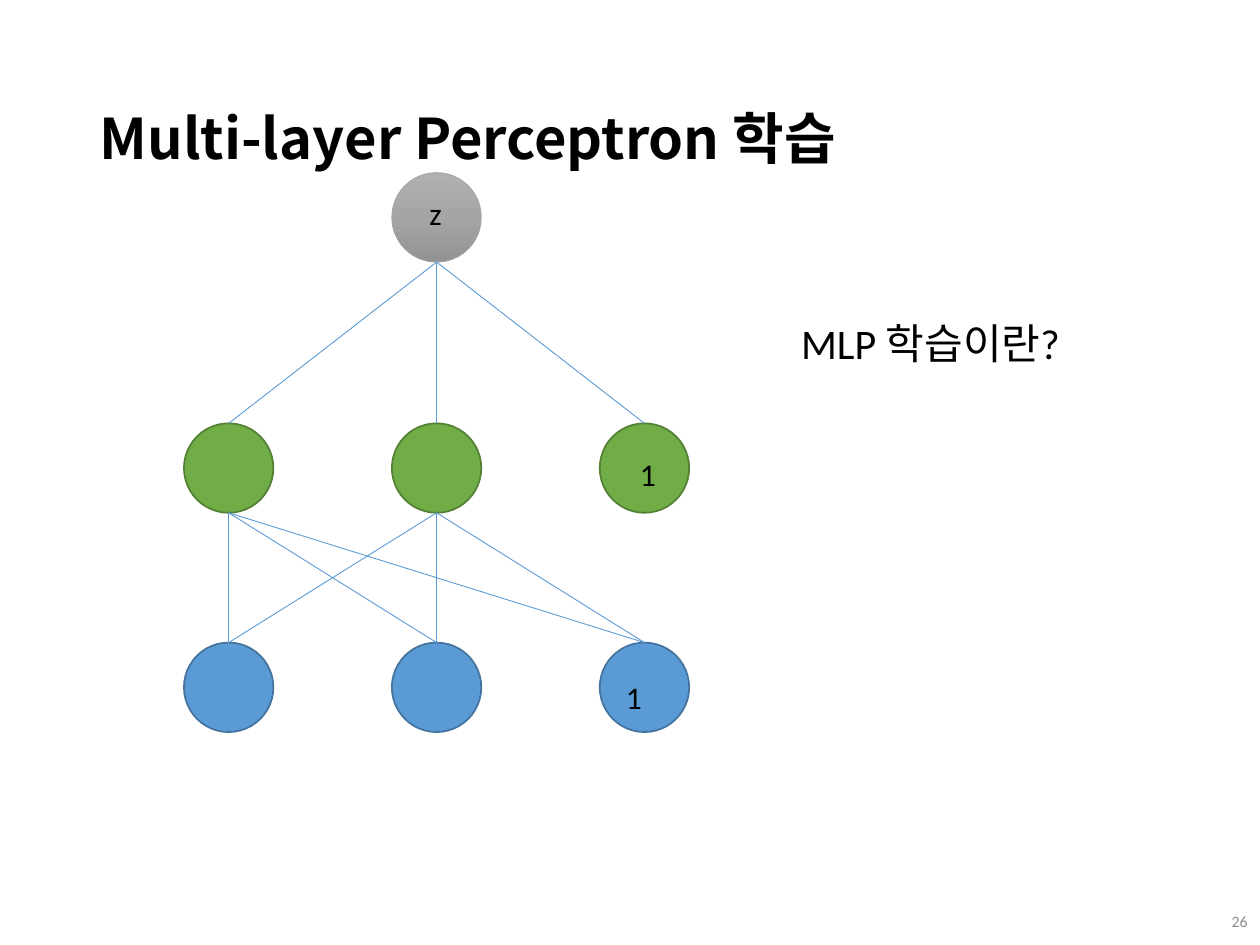
"""Build the slide on training a multi-layer perceptron."""
from copy import deepcopy

from lxml import etree
from pptx import Presentation
from pptx.dml.color import RGBColor
from pptx.enum.shapes import MSO_CONNECTOR, MSO_SHAPE
from pptx.enum.text import MSO_ANCHOR, MSO_AUTO_SIZE, PP_ALIGN
from pptx.oxml.ns import qn
from pptx.util import Inches, Pt

OVAL, STRAIGHT = MSO_SHAPE.OVAL, MSO_CONNECTOR.STRAIGHT
MIDDLE, LEFT, RIGHT = MSO_ANCHOR.MIDDLE, PP_ALIGN.LEFT, PP_ALIGN.RIGHT
NO_FIT = MSO_AUTO_SIZE.NONE
KOREAN = "Noto Sans CJK KR"
NODE = 0.71
COLUMNS = [1.46, 3.11, 4.76]
INPUT_TOP, HIDDEN_TOP, OUTPUT_TOP = 5.1, 3.36, 1.37


def color(value):
    return RGBColor.from_string(value)


def add_run(p, text, size, font, fill, bold=False):
    r = p.add_run()
    r.text = text
    r.font.size, r.font.name, r.font.bold = Pt(size), font, bold
    r.font.color.rgb = color(fill)
    ea = etree.SubElement(r.font._element, qn("a:ea"))
    ea.set("typeface", KOREAN)


prs = Presentation()
prs.slide_width, prs.slide_height = Inches(10), Inches(7.5)
s = prs.slides.add_slide(prs.slide_layouts[5])

title = s.shapes.title
title.left, title.top = Inches(0.69), Inches(0.4)
title.width, title.height = Inches(8.62), Inches(1.45)
tf = title.text_frame
tf.auto_size, tf.vertical_anchor, tf.word_wrap = NO_FIT, MIDDLE, True
p = tf.paragraphs[0]
p.alignment, p.line_spacing = LEFT, 0.9
add_run(p, "Multi-layer Perceptron 학습", 32, KOREAN, "000000", True)

nodes = [(x, INPUT_TOP, "5B9BD5", "43739E", 1) for x in COLUMNS]
nodes += [(x, HIDDEN_TOP, "70AD47", "538035", 1) for x in COLUMNS]
nodes.append((COLUMNS[1], OUTPUT_TOP, "A5A5A5", "A5A5A5", 0.5))
for x, y, fill, line, weight in nodes:
    sp = s.shapes.add_shape(OVAL, Inches(x), Inches(y), Inches(NODE), Inches(NODE))
    sp.shadow.inherit = False
    sp.fill.solid()
    sp.fill.fore_color.rgb = color(fill)
    sp.line.color.rgb = color(line)
    sp.line.width = Pt(weight)

sp.fill.gradient()
sp.fill.gradient_angle = 270
first = sp._element.spPr.find(".//" + qn("a:gs"))
first.addnext(deepcopy(first))
stops = [(0, "B0B0B0"), (0.5, "A5A5A5"), (1, "939393")]
for stop, (position, value) in zip(sp.fill.gradient_stops, stops):
    stop.position = position
    stop.color.rgb = color(value)

layers = [(INPUT_TOP, HIDDEN_TOP, COLUMNS[:2]), (HIDDEN_TOP, OUTPUT_TOP, COLUMNS[1:2])]
for lower, upper, targets in layers:
    for target in targets:
        for source in COLUMNS:
            edge = s.shapes.add_connector(
                STRAIGHT, Inches(source + NODE / 2), Inches(lower),
                Inches(target + NODE / 2), Inches(upper + NODE))
            edge.line.color.rgb = color("5B9BD5")
            edge.line.width = Pt(0.5)
            etree.SubElement(edge._element.spPr, qn("a:effectLst"))

labels = [
    ("1", 4.87, 5.33, 0.43, 0.4, 18, True),
    ("1", 4.98, 3.56, 0.34, 0.4, 18, False),
    ("z", 3.31, 1.49, 0.3, 0.4, 18, True),
    ("MLP 학습이란?", 6.26, 2.47, 2.6, 0.5, 24, False),
]
for text, x, y, w, h, size, wrap in labels:
    tf = s.shapes.add_textbox(Inches(x), Inches(y), Inches(w), Inches(h)).text_frame
    tf.word_wrap = wrap
    add_run(tf.paragraphs[0], text, size, "Calibri", "000000")

tf = s.shapes.add_textbox(Inches(9.46), Inches(7.11), Inches(0.54), Inches(0.4)).text_frame
tf.word_wrap, tf.vertical_anchor = True, MIDDLE
p = tf.paragraphs[0]
p.alignment = RIGHT
add_run(p, "26", 9, "Calibri", "8C8C8C")

prs.save("out.pptx")
